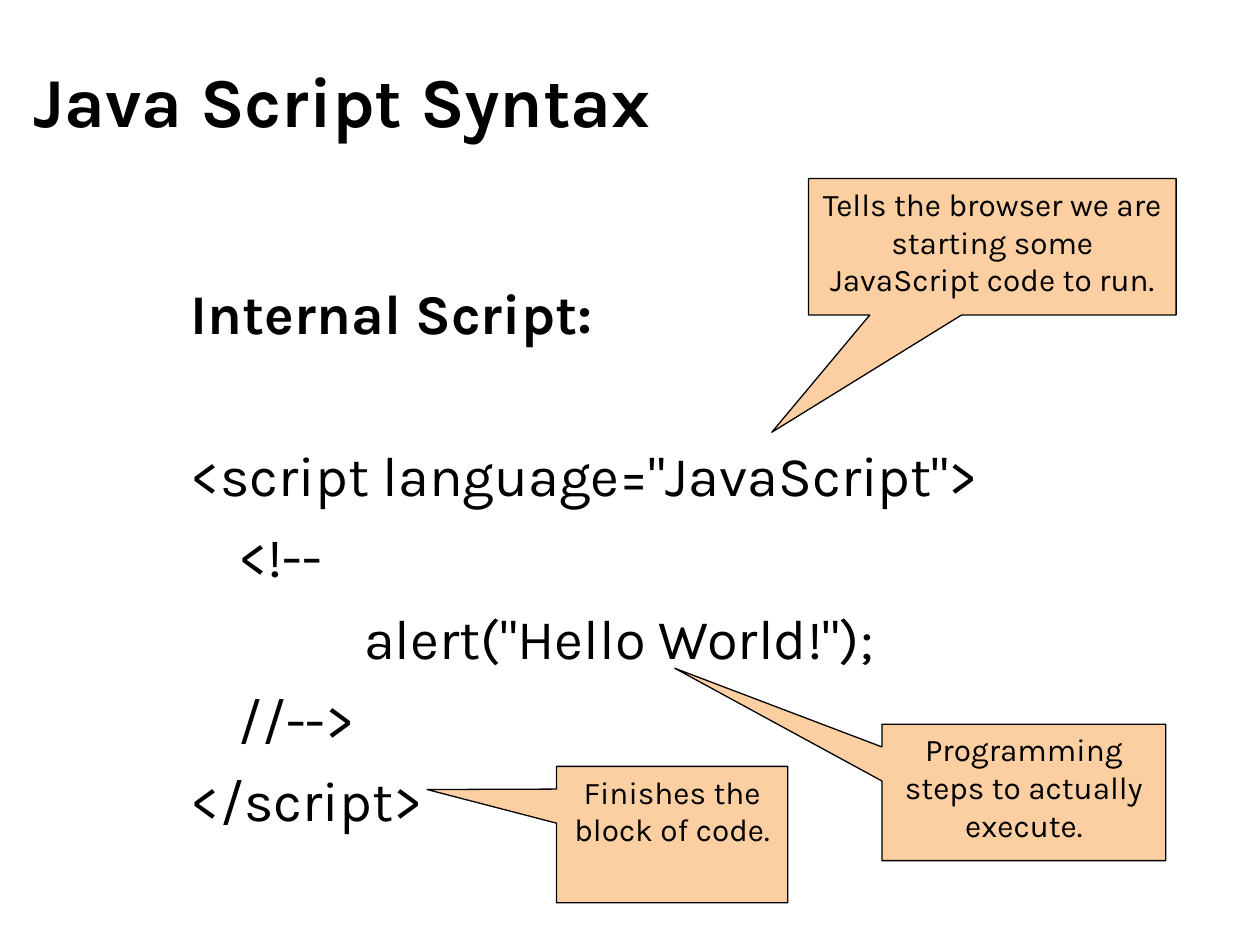
from dataclasses import dataclass

from pptx import Presentation
from pptx import util as u
from pptx.dml import color
from pptx.enum import shapes, text


@dataclass(frozen=True)
class Theme:
    font: str = "Karla"
    ink: color.RGBColor = color.RGBColor(0x00, 0x00, 0x00)
    callout: color.RGBColor = color.RGBColor(0xFC, 0xCF, 0xA2)
    title_size: int = 40
    code_size: int = 32
    note_size: int = 18


theme = Theme()


def write(paragraph, words, size, bold=False, align=text.PP_ALIGN.LEFT):
    paragraph.alignment = align
    run = paragraph.add_run()
    run.text = words
    run.font.name = theme.font
    run.font.size = u.Pt(size)
    run.font.bold = bold
    run.font.color.rgb = theme.ink


def place(shape, left, top, width, height):
    """Set the position and size of a shape, in centimetres."""
    shape.left, shape.top = u.Cm(left), u.Cm(top)
    shape.width, shape.height = u.Cm(width), u.Cm(height)


presentation = Presentation()
presentation.slide_width = u.Cm(25.4)
presentation.slide_height = u.Cm(19.05)
slide = presentation.slides.add_slide(presentation.slide_layouts[5])

# Title
title = slide.shapes.title
place(title, 0.42, 0.42, 22.86, 3.18)
title.text_frame.vertical_anchor = text.MSO_ANCHOR.MIDDLE
write(title.text_frame.paragraphs[0], "Java Script Syntax", theme.title_size, bold=True)

# Heading and code listing: words, left indent in cm, space before in points
code_lines = [
    ("Internal Script:", 0, 0),
    ('<script language="JavaScript">', 0, 54),
    ("<!--", 0.95, 8),
    ('alert("Hello World!");', 3.49, 8),
    ("//-->", 0.95, 8),
    ("</script>", 0, 8),
]
listing = slide.shapes.add_textbox(u.Cm(3.6), u.Cm(5.5), u.Cm(21.38), u.Cm(11.43))
frame = listing.text_frame
frame.word_wrap = True
for number, (words, indent, space) in enumerate(code_lines):
    paragraph = frame.add_paragraph() if number else frame.paragraphs[0]
    paragraph.space_before = u.Pt(space)
    paragraph._p.get_or_add_pPr().set("marL", str(u.Cm(indent)))
    write(paragraph, words, theme.code_size, bold=number == 0)

# Callouts: words, left, top, width in cm, and pointer tip relative to the box
callout_height = 2.75
callouts = [
    ("Tells the browser we are starting some JavaScript code to run.",
     16.3, 3.6, 7.41, (-0.6, 1.36)),
    ("Programming steps to actually execute.", 17.78, 14.6, 5.72, (-1.23, -0.91)),
    ("Finishes the block of code.", 11.22, 15.45, 4.66, (-1.06, -0.33)),
]
for words, left, top, width, tip in callouts:
    callout = slide.shapes.add_shape(
        shapes.MSO_SHAPE.RECTANGULAR_CALLOUT,
        u.Cm(left), u.Cm(top), u.Cm(width), u.Cm(callout_height),
    )
    callout.adjustments[0], callout.adjustments[1] = tip
    callout.shadow.inherit = False
    callout.fill.solid()
    callout.fill.fore_color.rgb = theme.callout
    callout.line.color.rgb = theme.ink
    callout.line.width = u.Pt(0.75)
    callout.text_frame.word_wrap = True
    callout.text_frame.vertical_anchor = text.MSO_ANCHOR.TOP
    write(callout.text_frame.paragraphs[0], words, theme.note_size,
          align=text.PP_ALIGN.CENTER)

presentation.save("out.pptx")
